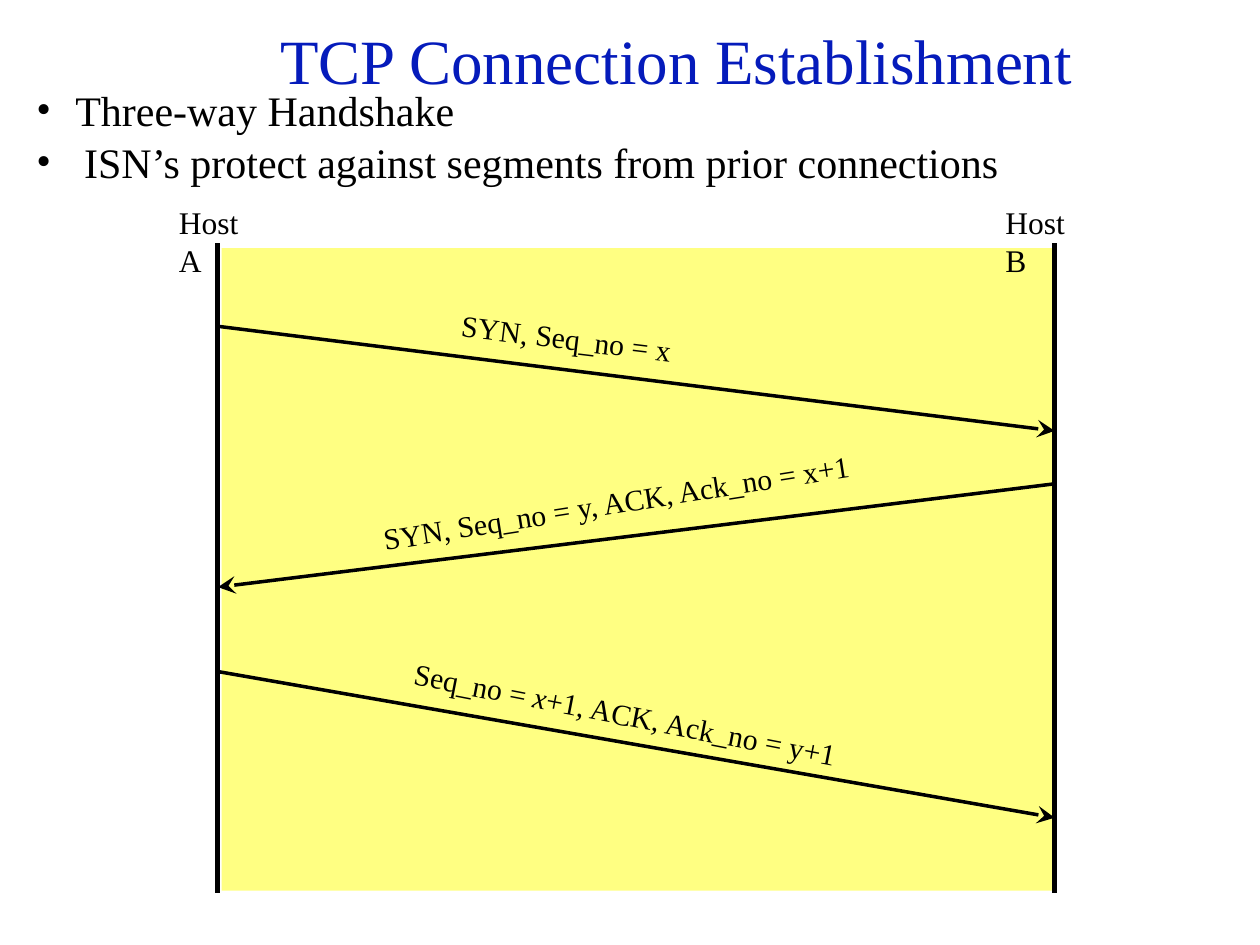
from lxml.etree import SubElement
from pptx import Presentation
from pptx.dml.color import RGBColor
from pptx.enum.shapes import MSO_CONNECTOR, MSO_SHAPE
from pptx.enum.text import MSO_ANCHOR, PP_ALIGN
from pptx.oxml.ns import qn
from pptx.util import Inches, Pt

BLACK = RGBColor(0x00, 0x00, 0x00)
BLUE = RGBColor(0x05, 0x1B, 0xBB)
YELLOW = RGBColor(0xFF, 0xFF, 0x00)
LEFT_HOST, RIGHT_HOST = 1.73, 8.37


class HandshakeSlide:
    """Draws the elements of a sequence diagram on one slide in one style."""

    font = "Times New Roman"

    def __init__(self, prs):
        self.s = prs.slides.add_slide(prs.slide_layouts[6])

    def frame(self, x, y, w, h, inset=(0, 0), rotation=0):
        sp = self.s.shapes.add_textbox(Inches(x), Inches(y), Inches(w), Inches(h))
        sp.rotation = rotation
        tf = sp.text_frame
        tf.word_wrap = True
        tf.margin_left = tf.margin_right = Inches(inset[0])
        tf.margin_top = tf.margin_bottom = Inches(inset[1])
        return tf

    def run(self, p, text, size, color=BLACK, italic=False):
        r = p.add_run()
        r.text = text
        r.font.name = self.font
        r.font.size = Pt(size)
        r.font.italic = italic
        r.font.color.rgb = color

    def title(self, text, x, y, w, h):
        tf = self.frame(x, y, w, h, inset=(0.1, 0.05))
        tf.vertical_anchor = MSO_ANCHOR.MIDDLE
        p = tf.paragraphs[0]
        p.alignment = PP_ALIGN.CENTER
        self.run(p, text, 36, BLUE)

    def bullets(self, items, x, y, w, h):
        tf = self.frame(x, y, w, h, inset=(0.1, 0.05))
        for i, (text, indent) in enumerate(items):
            p = tf.add_paragraph() if i else tf.paragraphs[0]
            pPr = p._p.get_or_add_pPr()
            pPr.set("marL", str(Inches(indent)))
            pPr.set("indent", str(-Inches(indent)))
            SubElement(pPr, qn("a:buFont"), typeface=self.font)
            SubElement(pPr, qn("a:buChar"), char="•")
            if i:
                p.space_before = Pt(1)
            self.run(p, text, 24)

    def label(self, runs, x, y, w, h, size=17, rotation=0):
        p = self.frame(x, y, w, h, rotation=rotation).paragraphs[0]
        for text, italic in runs:
            self.run(p, text, size, italic=italic)

    def panel(self, x, y, w, h, alpha):
        sp = self.s.shapes.add_shape(
            MSO_SHAPE.RECTANGLE, Inches(x), Inches(y), Inches(w), Inches(h))
        sp.shadow.inherit = False
        sp.line.fill.background()
        sp.fill.solid()
        sp.fill.fore_color.rgb = YELLOW
        color = sp._element.spPr.find(qn("a:solidFill"))[0]
        SubElement(color, qn("a:alpha"), val=str(alpha * 1000))

    def line(self, x1, y1, x2, y2, width, arrow=False):
        sp = self.s.shapes.add_connector(
            MSO_CONNECTOR.STRAIGHT, Inches(x1), Inches(y1), Inches(x2), Inches(y2))
        sp.line.color.rgb = BLACK
        sp.line.width = Pt(width)
        if arrow:
            SubElement(sp.line._get_or_add_ln(), qn("a:tailEnd"),
                       type="stealth", w="lg", len="lg")
        SubElement(sp._element.spPr, qn("a:effectLst"))


def main():
    prs = Presentation()
    prs.slide_width, prs.slide_height = Inches(10), Inches(7.5)
    slide = HandshakeSlide(prs)
    slide.title("TCP Connection Establishment", 0.9, 0.05, 8.94, 0.84)
    slide.bullets([
        ("Three-way Handshake", 0.31),
        ("ISN’s protect against segments from prior connections", 0.38),
    ], 0.19, 0.62, 8.77, 0.91)
    slide.panel(1.76, 1.97, 6.61, 5.1, alpha=49)

    for name, x, label_x in (("Host A", LEFT_HOST, 1.42), ("Host B", RIGHT_HOST, 7.98)):
        slide.line(x, 1.93, x, 7.09, 2.88)
        slide.label([(name, False)], label_x, 1.61, 0.67, 0.3, size=18)

    messages = [
        (LEFT_HOST, 2.59, RIGHT_HOST, 3.42, [("SYN, Seq_no = x", False)],
         (3.66, 2.55, 1.82), 7),
        (RIGHT_HOST, 3.84, LEFT_HOST, 4.66,
         [("SYN, Seq_no = y, ACK, Ack_no = x+1", False)], (3.02, 3.82, 4.02), 351),
        (LEFT_HOST, 5.33, RIGHT_HOST, 6.49,
         [("Seq_no = ", False), ("x", True), ("+1, ACK, Ack_no = y+1", False)],
         (3.26, 5.55, 3.67), 11),
    ]
    for x1, y1, x2, y2, runs, place, rotation in messages:
        slide.line(x1, y1, x2, y2, 2, arrow=True)
        slide.label(runs, *place, 0.28, rotation=rotation)
    prs.save("out.pptx")


if __name__ == "__main__":
    main()
